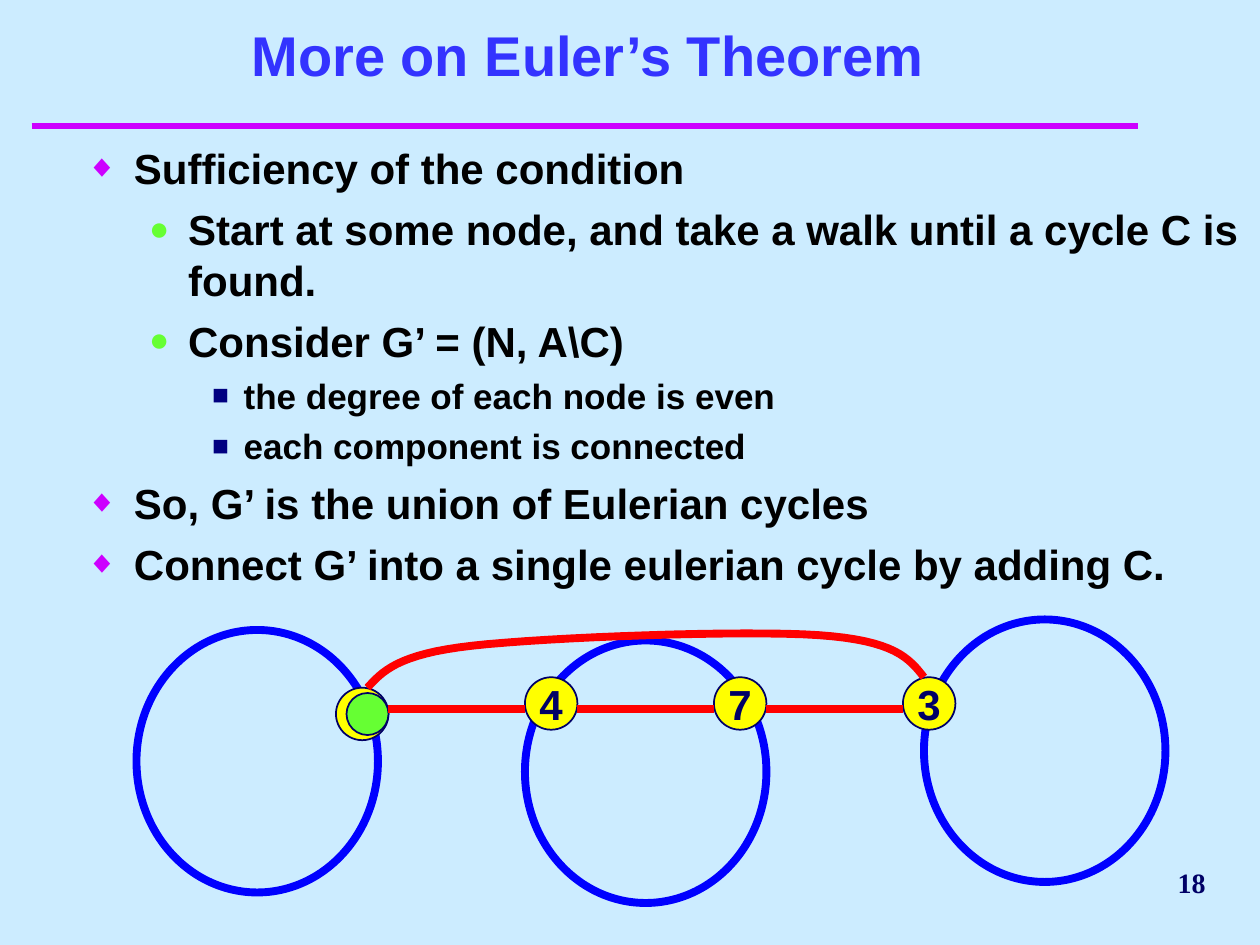
"""Build the Euler's theorem slide: a bulleted argument above three linked cycles."""
from lxml.etree import SubElement
from pptx import Presentation
from pptx.dml.color import RGBColor
from pptx.enum.shapes import MSO_CONNECTOR, MSO_SHAPE
from pptx.enum.text import MSO_ANCHOR, MSO_AUTO_SIZE, PP_ALIGN
from pptx.oxml.ns import qn
from pptx.util import Inches, Pt

THEME = {
    "background": "CCECFF", "title": "3333FF", "text": "000000", "navy": "000066",
    "rule": "CC00FF", "cycle": "0000FF", "walk": "FF0000", "node": "FFFF00", "start": "66FF33",
    "font": "Arial", "number_font": "Times New Roman",
    "title_size": 32, "body_size": 24, "detail_size": 20, "number_size": 16,
    "heavy": 4.5, "medium": 4, "thin": 1,
}
LEVELS = [
    {"char": "◆", "color": "CC00FF", "percent": 75, "left": 0.38, "hang": 0.38, "size": "body_size", "before": 6},
    {"char": "●", "color": "66FF33", "percent": 80, "left": 0.81, "hang": 0.31, "size": "body_size", "before": 6},
    {"char": "■", "color": "000080", "percent": 80, "left": 1.25, "hang": 0.25, "size": "detail_size", "before": 5},
]
ARGUMENT = [
    (0, "Sufficiency of the condition"),
    (1, "Start at some node, and take a walk until a cycle C is found."),
    (1, "Consider G’ = (N, A\\C)"),
    (2, "the degree of each node is even"),
    (2, "each component is connected"),
    (0, "So, G’ is the union of Eulerian cycles"),
    (0, "Connect G’ into a single eulerian cycle by adding C."),
]
CELL = Inches(10) / 120


def cells(*lengths):
    return [round(length * CELL) for length in lengths]


def write(paragraph, text, size, color, font="font"):
    run = paragraph.add_run()
    run.text = text
    run.font.color.rgb = RGBColor.from_string(THEME[color])
    for name, value in {"size": Pt(THEME[size]), "name": THEME[font], "bold": True}.items():
        setattr(run.font, name, value)


deck = Presentation()
deck.slide_width, deck.slide_height = cells(120, 90)
slide = deck.slides.add_slide(deck.slide_layouts[1])
slide.background.fill.solid()
slide.background.fill.fore_color.rgb = RGBColor.from_string(THEME["background"])
title, argument = slide.placeholders
number = slide.shapes.add_textbox(*cells(93, 81, 23, 6))

for holder, box, anchor, wrap in [
    (title, (5, 2, 102, 7), MSO_ANCHOR.BOTTOM, True),
    (argument, (7, 13, 113, 45), MSO_ANCHOR.TOP, True),
    (number, (93, 81, 23, 6), MSO_ANCHOR.MIDDLE, False),
]:
    for side, length in zip(("left", "top", "width", "height"), cells(*box)):
        setattr(holder, side, length)
    for name, value in {"auto_size": MSO_AUTO_SIZE.NONE, "vertical_anchor": anchor, "word_wrap": wrap}.items():
        setattr(holder.text_frame, name, value)

heading = title.text_frame.paragraphs[0]
heading.alignment = PP_ALIGN.CENTER
write(heading, "More on Euler’s Theorem", "title_size", "title")
page = number.text_frame.paragraphs[0]
page.alignment = PP_ALIGN.RIGHT
write(page, "18", "number_size", "navy", "number_font")

for index, (depth, sentence) in enumerate(ARGUMENT):
    point = argument.text_frame.add_paragraph() if index else argument.text_frame.paragraphs[0]
    level = LEVELS[depth]
    point.level = depth
    point.space_before = Pt(level["before"])
    write(point, sentence, level["size"], "text")
    format_xml = point._p.get_or_add_pPr()
    format_xml.set("marL", str(Inches(level["left"])))
    format_xml.set("indent", str(-Inches(level["hang"])))
    SubElement(SubElement(format_xml, qn("a:buClr")), qn("a:srgbClr"), val=level["color"])
    SubElement(format_xml, qn("a:buSzPct"), val=str(level["percent"] * 1000))
    SubElement(format_xml, qn("a:buFont"), typeface=THEME["font"])
    SubElement(format_xml, qn("a:buChar"), char=level["char"])

CYCLE, NODE, START = (23, 25), (5, 5), (4, 4)
for left, top, size, fill, line, weight, label in [
    (13, 60, CYCLE, None, "cycle", "heavy", ""),
    (50, 61, CYCLE, None, "cycle", "heavy", ""),
    (88, 59, CYCLE, None, "cycle", "heavy", ""),
    (50, 64.5, NODE, "node", "navy", "thin", "4"),
    (32, 65.5, NODE, "node", "navy", "thin", ""),
    (86, 64.5, NODE, "node", "navy", "thin", "3"),
    (68, 64.5, NODE, "node", "navy", "thin", "7"),
    (33, 66, START, "start", "navy", "thin", ""),
]:
    circle = slide.shapes.add_shape(MSO_SHAPE.OVAL, *cells(left, top, *size))
    circle.shadow.inherit = False
    circle.line.color.rgb = RGBColor.from_string(THEME[line])
    circle.line.width = Pt(THEME[weight])
    if fill:
        circle.fill.solid()
        circle.fill.fore_color.rgb = RGBColor.from_string(THEME[fill])
    else:
        circle.fill.background()
    if label:
        circle.text_frame.word_wrap = False
        circle.text_frame.vertical_anchor = MSO_ANCHOR.MIDDLE
        name = circle.text_frame.paragraphs[0]
        name.alignment = PP_ALIGN.CENTER
        write(name, label, "body_size", "navy")

for start, end, row, color, weight in [
    (3, 108.4, 12, "rule", "medium"),
    *((node_left, node_left - 13, 67.5, "walk", "heavy") for node_left in (50, 68, 86)),
]:
    edge = slide.shapes.add_connector(MSO_CONNECTOR.STRAIGHT, *cells(start, row, end, row))
    edge.line.color.rgb = RGBColor.from_string(THEME[color])
    edge.line.width = Pt(THEME[weight])
    SubElement(edge._element.spPr, qn("a:effectLst"))

BENDS = [
    ((35, 65.5), (36.4, 64), (37.8, 62.3), (45, 61.5)),
    ((45, 61.5), (52.2, 60.7), (70.8, 60), (78, 60.5)),
    ((78, 60.5), (85.2, 61), (86.6, 62.7), (88, 64.5)),
]
STEPS = 16
arc = []
for bend in BENDS:
    for step in range(1, STEPS + 1):
        t = step / STEPS
        weights = ((1 - t) ** 3, 3 * t * (1 - t) ** 2, 3 * t ** 2 * (1 - t), t ** 3)
        arc.append(cells(*(sum(w * p[axis] for w, p in zip(weights, bend)) for axis in (0, 1))))
outline = slide.shapes.build_freeform(*cells(*BENDS[0][0]))
outline.add_line_segments(arc, close=False)
return_walk = outline.convert_to_shape()
return_walk.shadow.inherit = False
return_walk.fill.background()
return_walk.line.color.rgb = RGBColor.from_string(THEME["walk"])
return_walk.line.width = Pt(THEME["heavy"])

deck.save("out.pptx")
